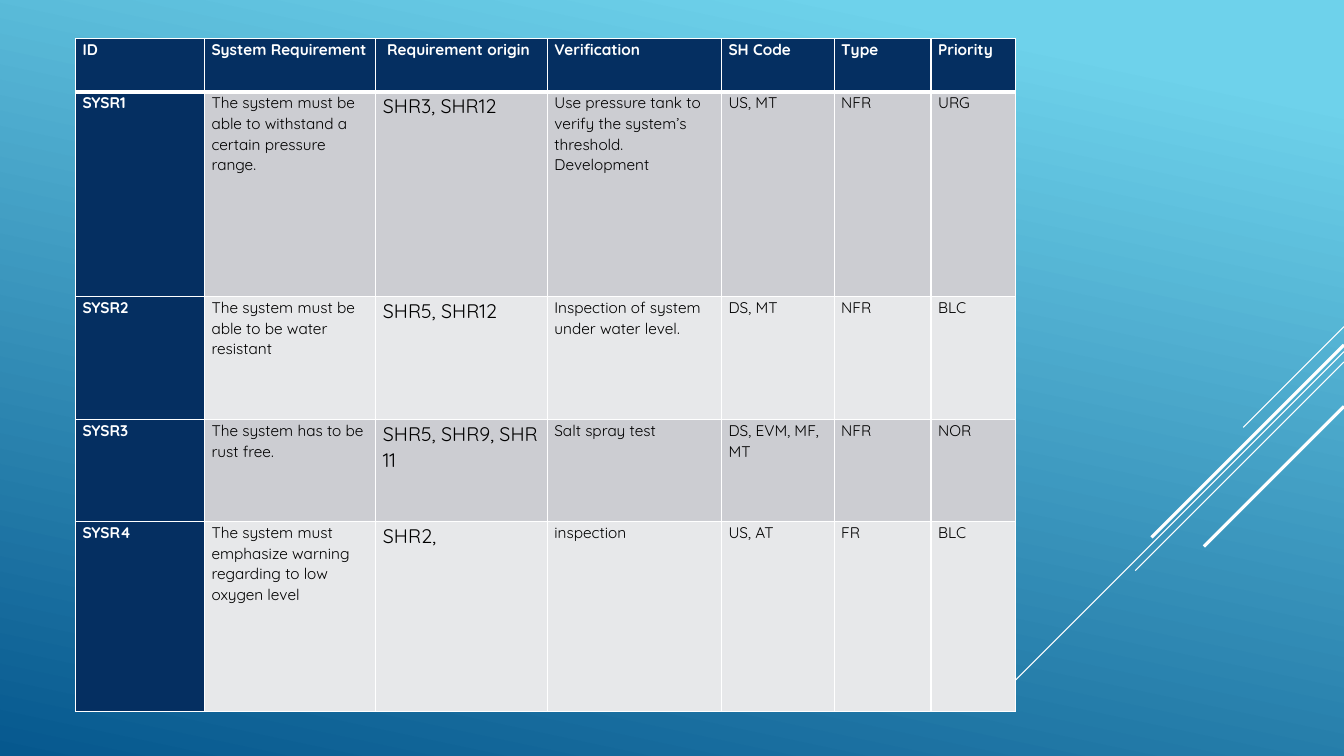
from lxml import etree
from pptx import Presentation
from pptx.dml.color import RGBColor
from pptx.enum.shapes import MSO_CONNECTOR
from pptx.oxml.ns import qn
from pptx.util import Cm, Pt

STRAIGHT = MSO_CONNECTOR.STRAIGHT
FONT = "Quicksand"
PAGE_WIDTH, PAGE_HEIGHT = 33.87, 19.05
COLORS = {
    "sky": "6ED2EB",
    "deep": "06588E",
    "navy": "052F61",
    "dark_band": "CCCDD2",
    "light_band": "E7E8EA",
    "white": "FFFFFF",
    "black": "000000",
}
STREAKS = [
    (8.23, 2.54, 0.75),
    (8.86, 8.28, 0.75),
    (9.12, 5.26, 0.75),
    (8.69, 4.85, 2.25),
    (10.24, 3.53, 2.25),
]
COLUMN_WIDTHS = [3.25, 4.32, 4.32, 4.39, 2.84, 2.44, 2.13]
ROW_HEIGHTS = [1.35, 5.16, 3.1, 2.57, 4.78]
ORIGIN_COLUMN = 2
REQUIREMENTS = [
    ["ID", "System Requirement", " Requirement origin", "Verification",
     "SH Code", "Type", "Priority"],
    ["SYSR1", "The system must be able to withstand a certain pressure range.",
     "SHR3, SHR12",
     "Use pressure tank to verify the system\u2019s threshold. Development",
     "US, MT", "NFR", "URG"],
    ["SYSR2", "The system must be able to be water resistant", "SHR5, SHR12",
     "Inspection of system under water level.", "DS, MT", "NFR", "BLC"],
    ["SYSR3", "The system has to be rust free.", "SHR5, SHR9, SHR 11",
     "Salt spray test", "DS, EVM, MF, MT", "NFR", "NOR"],
    ["SYSR4", "The system must emphasize warning regarding to low oxygen level",
     "SHR2,", "inspection", "US, AT", "FR", "BLC"],
]


def color(name):
    return RGBColor.from_string(COLORS[name])


def paint_background(page):
    fill = page.background.fill
    fill.gradient()
    fill.gradient_angle = 258
    stops = [("sky", 0.1), ("deep", 1.0)]
    for stop, (name, position) in zip(fill.gradient_stops, stops):
        stop.color.rgb = color(name)
        stop.position = position


def add_streak(page, top, reach, weight):
    streak = page.shapes.add_connector(
        STRAIGHT, Cm(PAGE_WIDTH), Cm(top), Cm(PAGE_WIDTH - reach), Cm(top + reach))
    streak.line.color.rgb = color("white")
    streak.line.width = Pt(weight)
    etree.SubElement(streak._element.spPr, qn("a:effectLst"))


def set_borders(cell, weights):
    properties = cell._tc.get_or_add_tcPr()
    for index, (side, weight) in enumerate(weights.items()):
        border = etree.Element(qn(f"a:ln{side}"), w=str(Pt(weight)))
        solid = etree.SubElement(border, qn("a:solidFill"))
        etree.SubElement(solid, qn("a:srgbClr"), val=COLORS["white"])
        properties.insert(index, border)


def format_cell(cell, text, size, heading, fill_name):
    cell.fill.solid()
    cell.fill.fore_color.rgb = color(fill_name)
    cell.margin_left = cell.margin_right = Cm(0.18)
    cell.margin_top = cell.margin_bottom = 0
    cell.text_frame.text = text
    para = cell.text_frame.paragraphs[0]
    para.line_spacing = 1.07
    para.space_after = Pt(8)
    for span in para.runs:
        span.font.name = FONT
        span.font.size = Pt(size)
        span.font.bold = heading
        span.font.color.rgb = color("white" if heading else "black")


def add_requirements_table(page):
    frame = page.shapes.add_table(
        len(ROW_HEIGHTS), len(COLUMN_WIDTHS), Cm(1.9), Cm(0.97),
        Cm(sum(COLUMN_WIDTHS)), Cm(sum(ROW_HEIGHTS)))
    table = frame.table
    table.first_col = True
    for column, width in zip(table.columns, COLUMN_WIDTHS):
        column.width = Cm(width)
    for row, height in zip(table.rows, ROW_HEIGHTS):
        row.height = Cm(height)
    for row_index, texts in enumerate(REQUIREMENTS):
        band = "dark_band" if row_index % 2 else "light_band"
        weights = {"L": 1, "R": 1, "T": 3 if row_index == 1 else 1,
                   "B": 3 if row_index == 0 else 1}
        for column_index, text in enumerate(texts):
            heading = row_index == 0 or column_index == 0
            size = 14 if column_index == ORIGIN_COLUMN and not heading else 11
            cell = table.cell(row_index, column_index)
            format_cell(cell, text, size, heading, "navy" if heading else band)
            set_borders(cell, weights)


def main():
    deck = Presentation()
    deck.slide_width, deck.slide_height = Cm(PAGE_WIDTH), Cm(PAGE_HEIGHT)
    page = deck.slides.add_slide(deck.slide_layouts[6])
    paint_background(page)
    for streak in STREAKS:
        add_streak(page, *streak)
    add_requirements_table(page)
    deck.save("out.pptx")


main()
